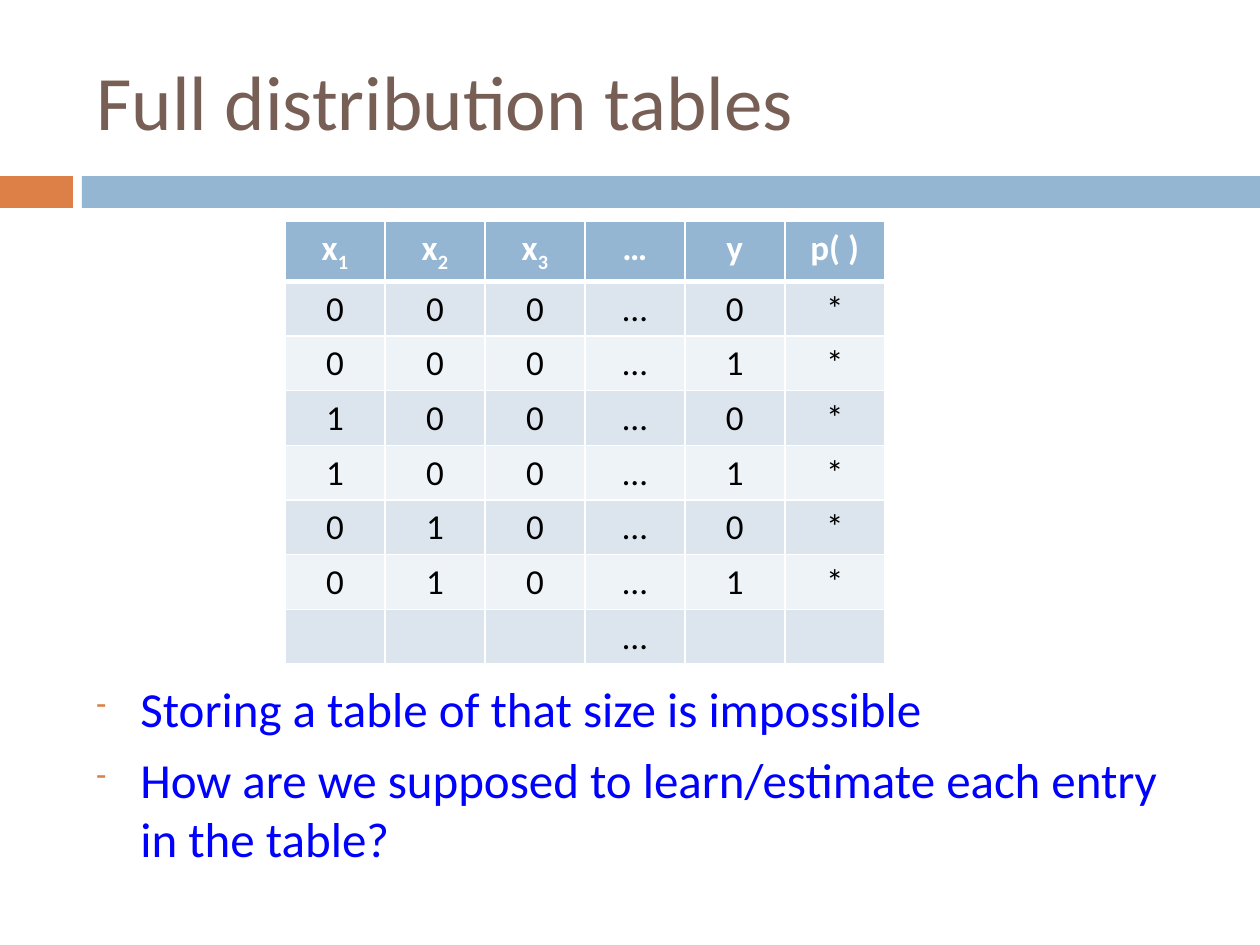
"""Build a slide on full distribution tables."""
from lxml.etree import SubElement
from pptx import Presentation
from pptx.dml.color import RGBColor
from pptx.enum.shapes import MSO_SHAPE as Shape
from pptx.enum.text import MSO_ANCHOR as Anchor, PP_ALIGN as Align
from pptx.oxml.ns import qn
from pptx.util import Emu, Pt


def px(length):
    return Emu(round(length * 914400 / 126))


def paint(target, color):
    if hasattr(target, "solid"):
        target.solid()
        target = target.fore_color
    else:
        target = target.color
    target.rgb = RGBColor.from_string(color)


deck = Presentation()
deck.slide_width, deck.slide_height = px(1260), px(945)
page = deck.slides.add_slide(deck.slide_layouts[6])

for left, width, color in [(0, 73, "DD8047"), (82, 1178, "94B6D2")]:
    bar = page.shapes.add_shape(Shape.RECTANGLE, px(left), px(176), px(width), px(32))
    bar.shadow.inherit = False
    paint(bar.fill, color)
    bar.line.fill.background()

title = page.shapes.add_textbox(px(84), px(32), px(1124), px(136)).text_frame
title.word_wrap = True
title.vertical_anchor = Anchor.MIDDLE
para = title.paragraphs[0]
para.text = "Full distribution tables"
para.font.name, para.font.size = "Calibri", Pt(44)
paint(para.font, "775F55")

header = ["x1", "x2", "x3", "…", "y", "p( )"]
entries = ["000…0*", "000…1*", "100…0*", "100…1*", "010…0*", "010…1*"]
rows = [header, *entries, ["", "", "", "…", "", ""]]
frame = page.shapes.add_table(len(rows), len(header), px(285), px(221), px(600), px(416))
table = frame.table
for row, values in enumerate(rows):
    for col, value in enumerate(values):
        cell = table.cell(row, col)
        para = cell.text_frame.paragraphs[0]
        para.alignment = Align.CENTER
        para.font.name, para.font.size = "Calibri", Pt(20)
        para.font.bold = row == 0
        paint(para.font, "000000" if row else "FFFFFF")
        para.add_run().text = value[:1] if value.startswith("x") else value
        if value.startswith("x"):
            span = para.add_run()
            span.text = value[1:]
            span.font._element.set("baseline", "-25000")
        for side in "LRTB":
            thick = (row, side) in [(0, "B"), (1, "T")]
            border = SubElement(cell._tc.get_or_add_tcPr(), qn(f"a:ln{side}"), w=str(Pt(3 if thick else 1)))
            SubElement(SubElement(border, qn("a:solidFill")), qn("a:srgbClr"), val="FFFFFF")
        paint(cell.fill, "94B6D2" if row == 0 else "DCE5EE" if row % 2 else "EEF3F7")

points = [
    "Storing a table of that size is impossible",
    "How are we supposed to learn/estimate each entry in the table?",
]
body = page.shapes.add_textbox(px(84), px(672), px(1124), px(220)).text_frame
body.word_wrap = True
for index, point in enumerate(points):
    para = body.add_paragraph() if index else body.paragraphs[0]
    para.text = point
    para.space_before = Pt(7)
    para.font.name, para.font.size = "Calibri", Pt(28)
    paint(para.font, "0000FF")
    props = para._p.get_or_add_pPr()
    props.set("marL", str(px(44)))
    props.set("indent", str(-px(44)))
    bullet = [SubElement(props, qn(f"a:{tag}")) for tag in ("buClr", "buSzPct", "buChar")]
    SubElement(bullet[0], qn("a:srgbClr"), val="DD8047")
    bullet[1].set("val", "60000")
    bullet[2].set("char", "-")
    props.append(props.find(qn("a:defRPr")))

deck.save("out.pptx")
